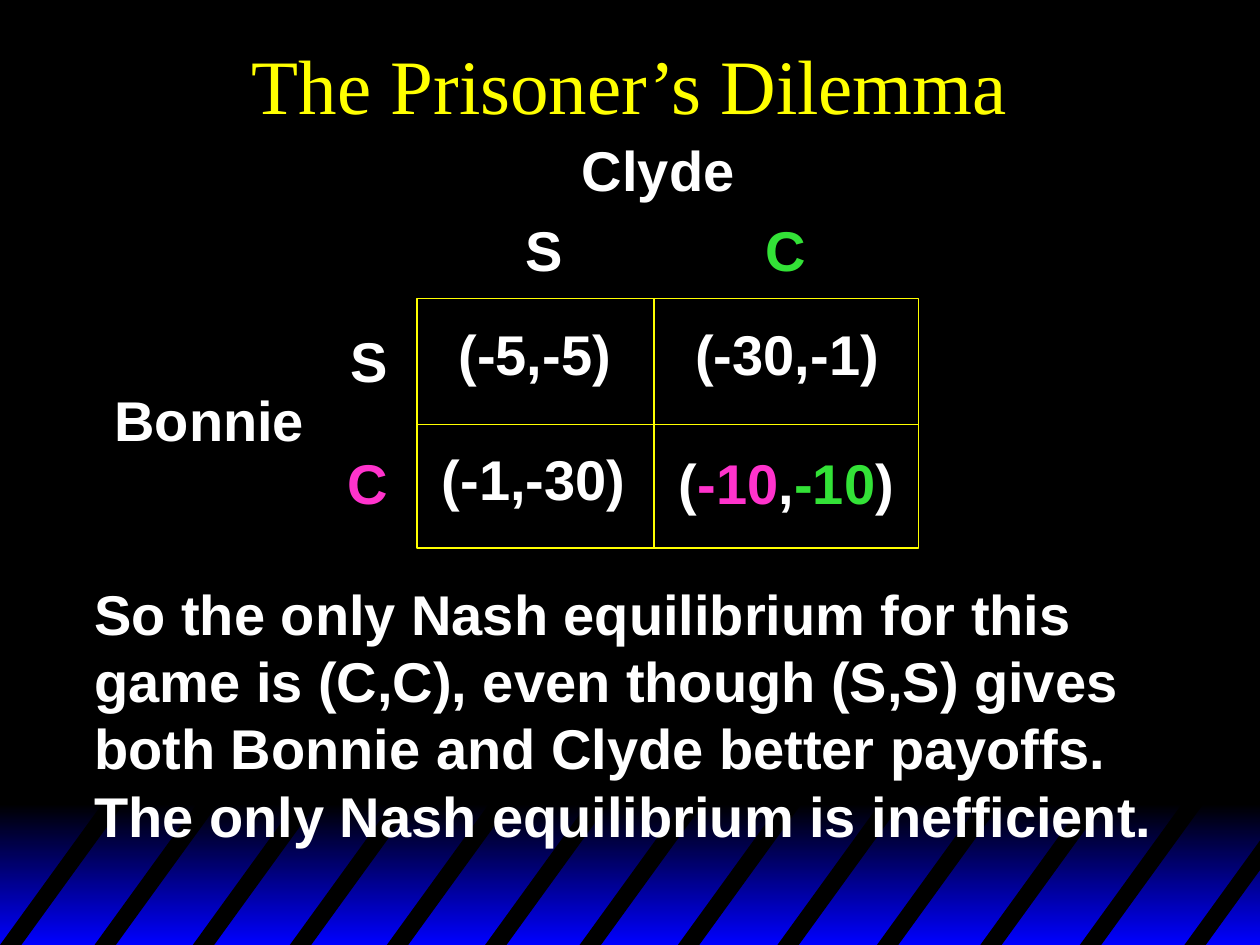
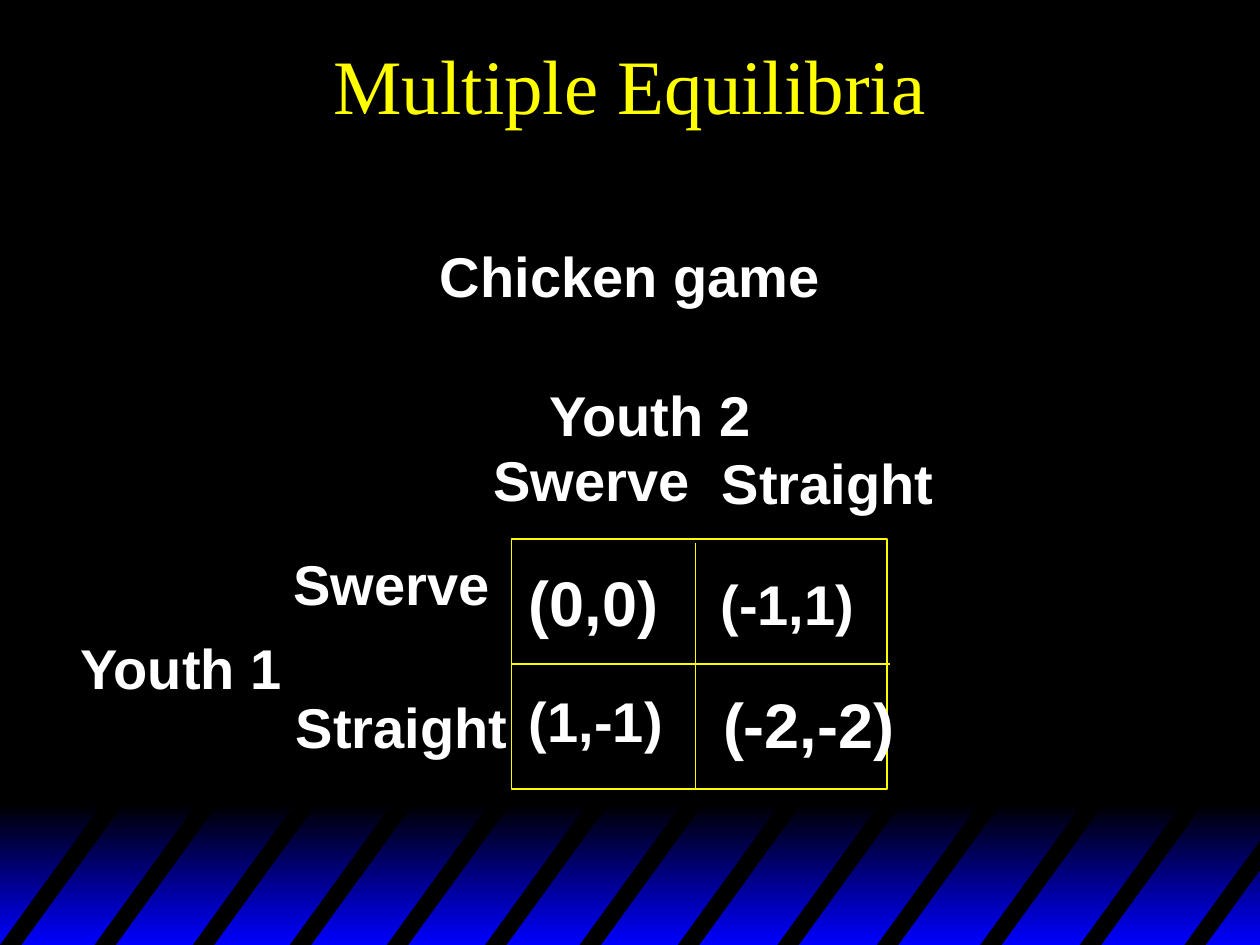
from pptx import Presentation
from pptx.dml.color import RGBColor
from pptx.enum.shapes import MSO_CONNECTOR as Connector, MSO_SHAPE as Shape
from pptx.enum.text import MSO_ANCHOR as Anchor, MSO_AUTO_SIZE as AutoSize, PP_ALIGN as Align
from pptx.oxml.ns import qn
from pptx.util import Inches, Pt
from lxml import etree

COLORS = {"black": "000000", "blue": "0000FF", "yellow": "FFFF00",
          "white": "FFFFFF", "pink": "FF33CC", "green": "33E237"}
TITLE_FONT = {"name": "Times New Roman", "size": Pt(44), "bold": False}
TEXT_FONT = {"name": "Arial", "size": Pt(32), "bold": True}
SLIDE_WIDTH, SLIDE_HEIGHT = 10, 7.5
BAND_TOP, STRIPE_TOP = 6.38, 6.34
STRIPE_WIDTH, STRIPE_SLANT = 0.17, 0.84
STRIPE_FEET = [0, 0.75, 1.53, 2.3, 3.07, 3.85, 4.6, 5.38, 6.17, 6.96, 7.78, 8.57, 9.4]


def rgb(color):
    return RGBColor.from_string(COLORS[color])


def set_values(target, values):
    for name, value in values.items():
        setattr(target, name, value)


def place(shape, box):
    set_values(shape, dict(zip(("left", "top", "width", "height"), map(Inches, box))))


def add_run(paragraph, text, font, color):
    run = paragraph.add_run()
    run.text = text
    set_values(run.font, font)
    run.font.color.rgb = rgb(color)


def add_stripe(slide, foot):
    slope = (SLIDE_HEIGHT - STRIPE_TOP) / STRIPE_SLANT
    corners = [(foot, SLIDE_HEIGHT)]
    for start in (foot, foot + STRIPE_WIDTH):
        end = min(start + STRIPE_SLANT, SLIDE_WIDTH)
        corners.append((end, SLIDE_HEIGHT - (end - start) * slope))
    corners.append((foot + STRIPE_WIDTH, SLIDE_HEIGHT))
    points = [(Inches(x), Inches(y)) for x, y in corners]
    builder = slide.shapes.build_freeform(*points[0])
    builder.add_line_segments(points[1:], close=True)
    stripe = builder.convert_to_shape()
    stripe.fill.solid()
    stripe.fill.fore_color.rgb = rgb("black")
    return stripe


def add_band(slide):
    band = slide.shapes.add_shape(
        Shape.RECTANGLE, 0, Inches(BAND_TOP),
        Inches(SLIDE_WIDTH), Inches(SLIDE_HEIGHT - BAND_TOP))
    band.fill.gradient()
    band.fill.gradient_angle = 270
    for stop, color in zip(band.fill.gradient_stops, ("black", "blue")):
        stop.color.rgb = rgb(color)
    return band


def decorate_master(presentation, slide):
    master = presentation.slide_master
    master.background.fill.solid()
    master.background.fill.fore_color.rgb = rgb("black")
    decorations = [add_band(slide)] + [add_stripe(slide, foot) for foot in STRIPE_FEET]
    for position, shape in enumerate(decorations, start=2):
        shape.shadow.inherit = False
        shape.line.fill.background()
        master.shapes.element.insert(position, shape.element)


def set_title(slide, text):
    title = slide.shapes.title
    place(title, (0, 0, SLIDE_WIDTH, 1.33))
    title.text_frame.vertical_anchor = Anchor.MIDDLE
    paragraph = title.text_frame.paragraphs[0]
    paragraph.alignment = Align.CENTER
    add_run(paragraph, text, TITLE_FONT, "yellow")


def set_body(slide, text, box):
    body = slide.placeholders[1]
    place(body, box)
    paragraph = body.text_frame.paragraphs[0]
    properties = paragraph._p.get_or_add_pPr()
    properties.set("marL", "0")
    properties.set("indent", "0")
    etree.SubElement(properties, qn("a:buNone"))
    set_values(paragraph, {"alignment": Align.CENTER, "space_before": Pt(0)})
    add_run(paragraph, text, TEXT_FONT, "white")


def add_text(slide, box, paragraphs, size=32):
    text_box = slide.shapes.add_textbox(*map(Inches, box))
    frame = text_box.text_frame
    set_values(frame, {"word_wrap": False, "auto_size": AutoSize.SHAPE_TO_FIT_TEXT})
    for index, lines in enumerate(paragraphs):
        paragraph = frame.add_paragraph() if index else frame.paragraphs[0]
        for number, runs in enumerate(lines):
            if number:
                paragraph.add_line_break()
            for text, color in runs:
                add_run(paragraph, text, {**TEXT_FONT, "size": Pt(size)}, color)


def add_divider(slide, start, end):
    divider = slide.shapes.add_connector(Connector.STRAIGHT, *map(Inches, start + end))
    divider.line.color.rgb = rgb("yellow")
    divider.line.width = Pt(1)
    etree.SubElement(divider.element.spPr, qn("a:effectLst"))


def add_game(slide, box, dividers, labels):
    left, top, width, height = box
    frame = slide.shapes.add_shape(Shape.RECTANGLE, *map(Inches, box))
    frame.shadow.inherit = False
    frame.fill.background()
    frame.line.color.rgb = rgb("yellow")
    frame.line.width = Pt(1)
    for x1, y1, x2, y2 in dividers:
        add_divider(slide, (left + x1, top + y1), (left + x2, top + y2))
    for content, x, y, label_width, *size in labels:
        runs = [(content, "white")] if isinstance(content, str) else content
        add_text(slide, (left + x, top + y, label_width, 0.64), [[runs]], *size)


def build_prisoners_dilemma(slide):
    set_title(slide, "The Prisoner’s Dilemma")
    conclusion = [["So the only Nash equilibrium for this",
                   "game is (C,C), even though (S,S) gives",
                   "both Bonnie and Clyde better payoffs."],
                  ["The only Nash equilibrium is inefficient."]]
    add_text(slide, (0.65, 4.55, 8.61, 2.24),
             [[[(line, "white")] for line in lines] for lines in conclusion])
    equilibrium = [("(", "white"), ("-10", "pink"), (",", "white"),
                   ("-10", "green"), (")", "white")]
    add_game(slide, (3.31, 2.37, 3.98, 1.98),
             [(1.88, 0, 1.88, 1.98), (0, 1, 3.98, 1)],
             [("Clyde", 1.21, -1.34, 1.41),
              ("Bonnie", -2.5, 0.64, 1.71),
              ("S", 0.76, -0.71, 0.49),
              ([("C", "green")], 2.67, -0.71, 0.52),
              ("S", -0.63, 0.17, 0.49),
              ([("C", "pink")], -0.65, 1.14, 0.52),
              ("(-5,-5)", 0.23, 0.12, 1.41),
              ("(-30,-1)", 2.11, 0.12, 1.66),
              ("(-1,-30)", 0.1, 1.11, 1.66),
              (equilibrium, 1.98, 1.14, 1.92)])


def build_chicken_game(slide):
    set_title(slide, "Multiple Equilibria")
    set_body(slide, "Chicken game", (0.75, 1.87, 8.5, 4.54))
    add_game(slide, (4.06, 4.28, 2.98, 1.98),
             [(1.46, 0.03, 1.46, 1.99), (0, 0.99, 3, 0.99)],
             [("Youth 2", 0.2, -1.31, 1.83),
              ("Youth 1", -3.52, 0.7, 1.83),
              ("Swerve", -0.24, -0.79, 1.76),
              ("Straight", 1.57, -0.77, 1.92),
              ("Swerve", -1.83, 0.03, 1.76),
              ("Straight", -1.81, 1.17, 1.92),
              ("(0,0)", 0.04, 0.14, 1.23, 36),
              ("(-1,1)", 1.56, 0.19, 1.26),
              ("(1,-1)", 0.04, 1.12, 1.26),
              ("(-2,-2)", 1.58, 1.11, 1.56, 36)])


def main():
    presentation = Presentation()
    presentation.slide_width = Inches(SLIDE_WIDTH)
    presentation.slide_height = Inches(SLIDE_HEIGHT)
    title_only, title_and_body = presentation.slide_layouts[5], presentation.slide_layouts[1]
    dilemma_slide = presentation.slides.add_slide(title_only)
    decorate_master(presentation, dilemma_slide)
    build_prisoners_dilemma(dilemma_slide)
    build_chicken_game(presentation.slides.add_slide(title_and_body))
    presentation.save("out.pptx")


if __name__ == "__main__":
    main()
